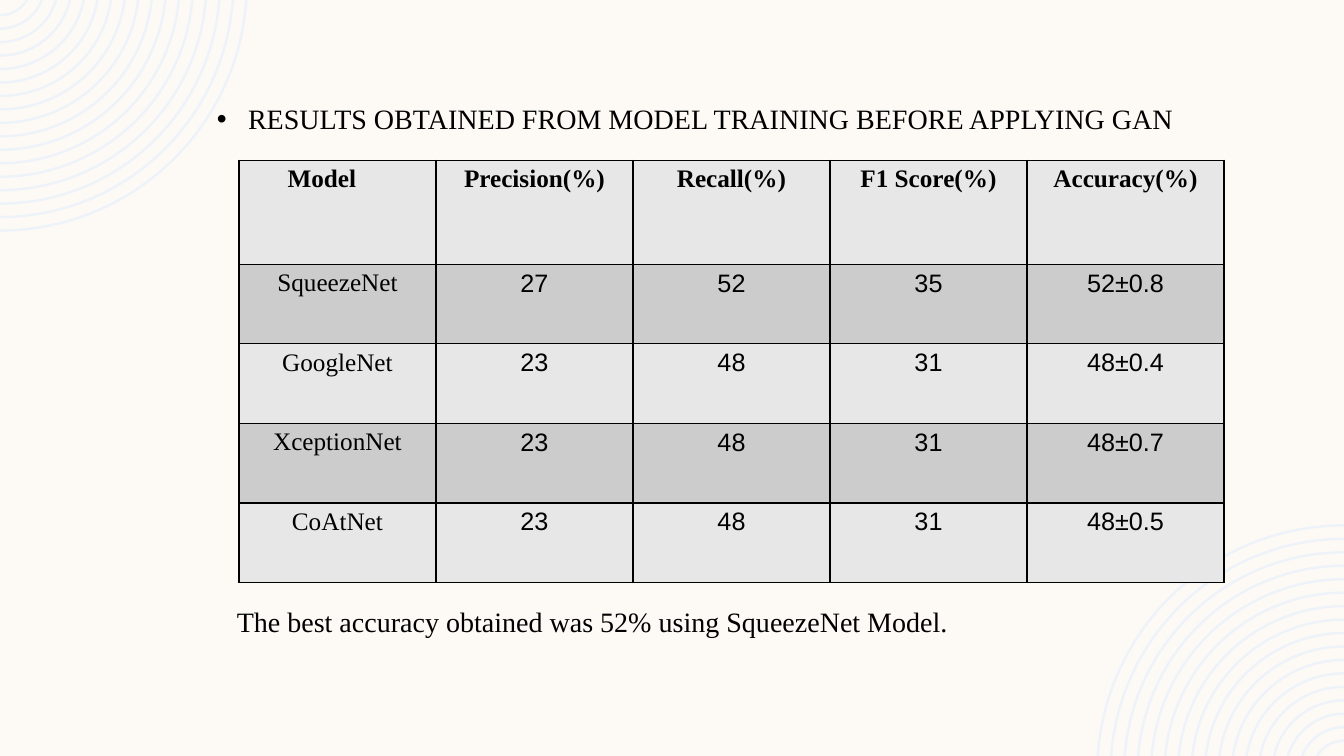
from math import asin, cos, degrees

from lxml import etree
from pptx import Presentation
from pptx.dml.color import RGBColor
from pptx.enum.text import MSO_ANCHOR, MSO_AUTO_SIZE, PP_ALIGN
from pptx.oxml.ns import qn
from pptx.util import Inches, Pt

WIDTH, HEIGHT = 13.33, 7.5
CREAM = RGBColor(0xFD, 0xFA, 0xF6)
RING_BLUE = RGBColor(0xEE, 0xF3, 0xFA)
LIGHT_GREY = RGBColor(0xE7, 0xE7, 0xE7)
MID_GREY = RGBColor(0xCC, 0xCC, 0xCC)
BLACK = RGBColor(0, 0, 0)
SERIF, SANS = "Times New Roman", "Arial"

RING_COUNT = 17
OUTER_RADIUS = 2.46
RING_GAP = 0.1335
RING_WIDTH = 0.025
CENTRE_OFFSET = 0.16  # the rings' centre lies this far outside the slide

RESULTS = [
    ["Model", "Precision(%)", "Recall(%)", "F1 Score(%)", "Accuracy(%)"],
    ["SqueezeNet", "27", "52", "35", "52±0.8"],
    ["GoogleNet", "23", "48", "31", "48±0.4"],
    ["XceptionNet", "23", "48", "31", "48±0.7"],
    ["CoAtNet", "23", "48", "31", "48±0.5"],
]


def bend_line(line, radius, start, sweep):
    """Turn a straight freeform segment into a circular arc, angles in degrees."""
    arc = etree.Element(qn("a:arcTo"))
    size = str(Inches(radius))
    arc.set("wR", size)
    arc.set("hR", size)
    arc.set("stAng", str(round(start * 60000)))
    arc.set("swAng", str(round(sweep * 60000)))
    line.getparent().replace(line, arc)


def add_corner_rings(slide, opposite=False):
    """Draw rings in the top left corner, or turned into the bottom right one."""
    def place(x, y):
        if opposite:
            x, y = WIDTH - x, HEIGHT - y
        return Inches(x), Inches(y)

    turn = 180 if opposite else 0
    builder = None
    arcs = []
    for ring in range(RING_COUNT):
        outer = OUTER_RADIUS - ring * RING_GAP
        inner = outer - RING_WIDTH
        outer_start, inner_start = (asin(CENTRE_OFFSET / radius) for radius in (outer, inner))
        first = place(outer * cos(outer_start), 0)
        if builder is None:
            builder = slide.shapes.build_freeform(*first)
        else:
            builder.move_to(*first)
        builder.add_line_segments([
            place(0, outer - CENTRE_OFFSET),
            place(0, inner - CENTRE_OFFSET),
            place(inner * cos(inner_start), 0),
        ], close=True)
        arcs.append((outer, turn + degrees(outer_start), 90 - degrees(outer_start)))
        arcs.append((inner, turn + 90, degrees(inner_start) - 90))
    shape = builder.convert_to_shape()
    lines = list(shape._element.iter(qn("a:lnTo")))
    curved_lines = [line for index, line in enumerate(lines) if index % 3 != 1]
    for line, arc in zip(curved_lines, arcs):
        bend_line(line, *arc)
    shape.shadow.inherit = False
    shape.fill.solid()
    shape.fill.fore_color.rgb = RING_BLUE
    shape.line.fill.background()


def add_run(paragraph, text, size, font=SERIF, bold=False):
    run = paragraph.add_run()
    run.text = text
    run.font.size = Pt(size)
    run.font.name = font
    run.font.bold = bold
    run.font.color.rgb = BLACK


def fill_text_frame(shape, text):
    frame = shape.text_frame
    frame.word_wrap = True
    frame.auto_size = MSO_AUTO_SIZE.SHAPE_TO_FIT_TEXT
    frame.vertical_anchor = MSO_ANCHOR.TOP
    paragraph = frame.paragraphs[0]
    paragraph.alignment = PP_ALIGN.LEFT
    add_run(paragraph, text, 20)
    return paragraph


def add_bullet(paragraph, indent):
    properties = paragraph._p.get_or_add_pPr()
    properties.set("marL", str(indent))
    properties.set("indent", str(-indent))
    etree.SubElement(properties, qn("a:buFont"), typeface=SANS)
    etree.SubElement(properties, qn("a:buChar"), char="•")


def set_title(slide, text):
    title = slide.shapes.title
    title.left, title.top = Inches(2.05), Inches(0.96)
    title.width, title.height = Inches(9.99), Inches(0.44)
    add_bullet(fill_text_frame(title, text), Inches(0.31))


def add_note(slide, text):
    box = slide.shapes.add_textbox(Inches(2.25), Inches(5.95), Inches(9.01), Inches(0.44))
    fill_text_frame(box, text)


def add_cell_borders(cell):
    properties = cell._tc.get_or_add_tcPr()
    for position, side in enumerate(("a:lnL", "a:lnR", "a:lnT", "a:lnB")):
        line = etree.Element(qn(side), w=str(Pt(1)))
        fill = etree.SubElement(line, qn("a:solidFill"))
        etree.SubElement(fill, qn("a:srgbClr"), val=str(BLACK))
        properties.insert(position, line)


def add_results_table(slide):
    row_count, column_count = len(RESULTS), len(RESULTS[0])
    table = slide.shapes.add_table(
        row_count, column_count, Inches(2.37), Inches(1.59), Inches(9.77), Inches(4.19)
    ).table
    table.first_row = table.horz_banding = False
    for row_index, values in enumerate(RESULTS):
        is_header = row_index == 0
        table.rows[row_index].height = Inches(1.03 if is_header else 0.79)
        for column_index, value in enumerate(values):
            cell = table.cell(row_index, column_index)
            cell.fill.solid()
            cell.fill.fore_color.rgb = MID_GREY if row_index % 2 else LIGHT_GREY
            add_cell_borders(cell)
            paragraph = cell.text_frame.paragraphs[0]
            paragraph.alignment = PP_ALIGN.CENTER
            font = SERIF if is_header or column_index == 0 else SANS
            add_run(paragraph, value, 18, font, is_header)
    table.cell(0, 0).margin_right = Inches(0.41)


def main():
    presentation = Presentation()
    presentation.slide_width, presentation.slide_height = Inches(WIDTH), Inches(HEIGHT)
    slide = presentation.slides.add_slide(presentation.slide_layouts.get_by_name("Title Only"))
    slide.background.fill.solid()
    slide.background.fill.fore_color.rgb = CREAM
    add_corner_rings(slide)
    add_corner_rings(slide, opposite=True)
    add_results_table(slide)
    set_title(slide, "RESULTS OBTAINED FROM MODEL TRAINING BEFORE APPLYING GAN")
    add_note(slide, "The best accuracy obtained was 52% using SqueezeNet Model.")
    presentation.save("out.pptx")


if __name__ == "__main__":
    main()
